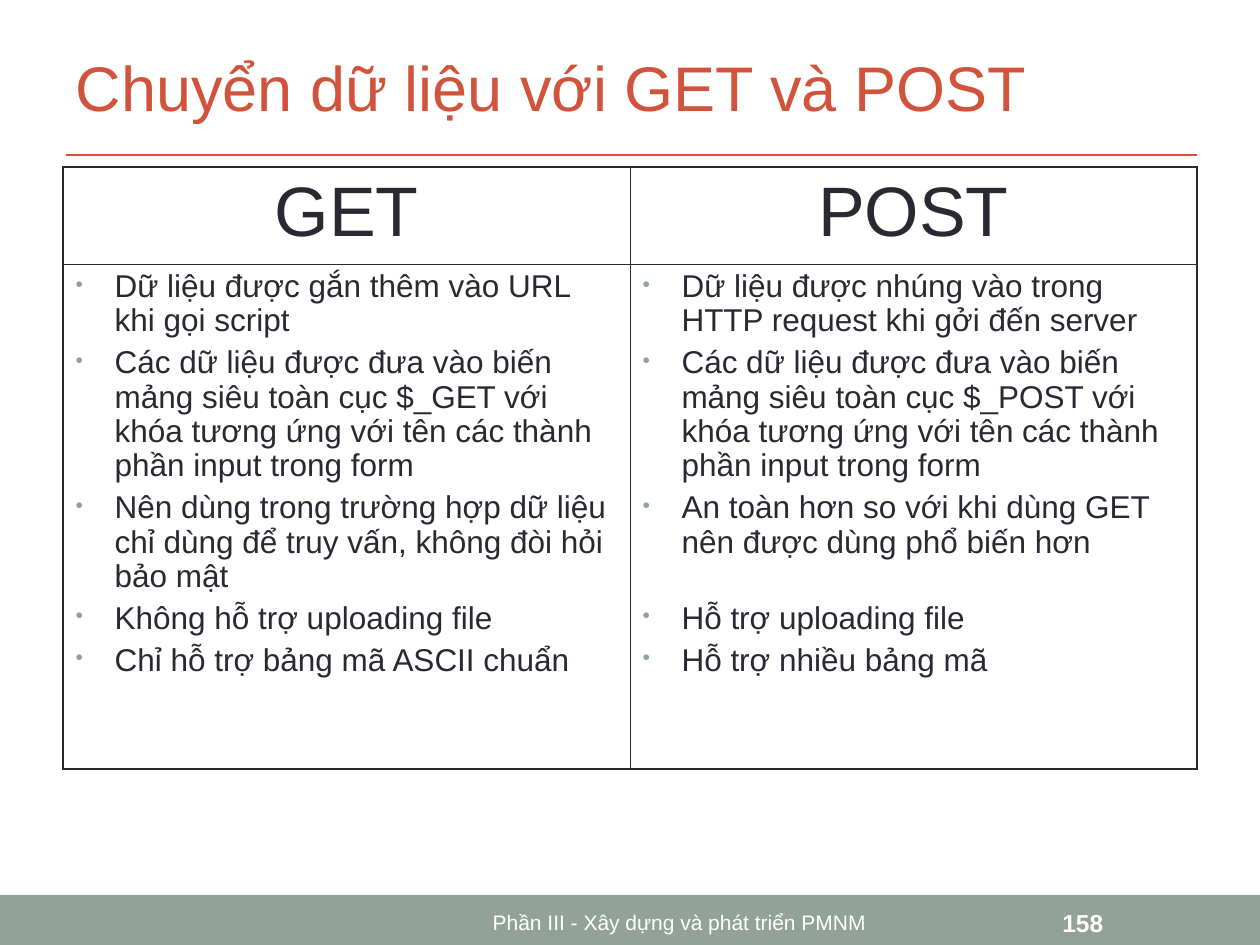
from lxml import etree
from pptx import Presentation
from pptx import util as u
from pptx.dml import color
from pptx.enum import shapes, text
from pptx.oxml import ns

PX = 914400 // 126
RED, SAGE, INK, WHITE = "D2533C", "93A299", "292934", "FFFFFF"
TITLE = "Chuyển dữ liệu với GET và POST"
COLS = [
    ("GET", [
        ("Dữ liệu được gắn thêm vào URL khi gọi script", 0),
        ("Các dữ liệu được đưa vào biến mảng siêu toàn cục $_GET với khóa "
         "tương ứng với tên các thành phần input trong form", 4.5),
        ("Nên dùng trong trường hợp dữ liệu chỉ dùng để truy vấn, "
         "không đòi hỏi bảo mật", 4.5),
        ("Không hỗ trợ uploading file", 4.5),
        ("Chỉ hỗ trợ bảng mã ASCII chuẩn", 4.5),
    ]),
    ("POST", [
        ("Dữ liệu được nhúng vào trong HTTP request khi gởi đến server", 0),
        ("Các dữ liệu được đưa vào biến mảng siêu toàn cục $_POST với khóa "
         "tương ứng với tên các thành phần input trong form", 4.5),
        ("An toàn hơn so với khi dùng GET nên được dùng phổ biến hơn", 4.5),
        ("Hỗ trợ uploading file", 24),
        ("Hỗ trợ nhiều bảng mã", 4.5),
    ]),
]
ROWS = [97, 505]
FOOT = [
    ("Phần III - Xây dựng và phát triển PMNM", (321, 900, 717, 45),
     12, False, text.PP_ALIGN.CENTER),
    ("158", (1050, 900, 147, 45), 14, True, text.PP_ALIGN.LEFT),
]


def px(*vals):
    return [u.Emu(v * PX) for v in vals]


def rgb(code):
    return color.RGBColor.from_string(code)


def style(para, size, code, align, bold=False):
    para.alignment = align
    font = para.font
    font.name, font.size, font.bold = "Arial", u.Pt(size), bold
    font.color.rgb = rgb(code)


def sub(node, tag, **attrs):
    return etree.SubElement(node, ns.qn("a:" + tag), **attrs)


def bullet(para):
    props = para._p.get_or_add_pPr()
    props.set("marL", str(39 * PX))
    props.set("indent", str(-39 * PX))
    sub(sub(props, "buClr"), "srgbClr", val=SAGE)
    sub(props, "buSzPct", val="70000")
    sub(props, "buChar", char="•")


def border(cell, row, col):
    props = cell._tc.get_or_add_tcPr()
    thick = {"lnL": col == 0, "lnR": col == 1, "lnT": row == 0, "lnB": row == 1}
    for side, outer in thick.items():
        line = sub(props, side, w=str(u.Pt(1.08 if outer else 0.45)))
        sub(sub(line, "solidFill"), "srgbClr", val=INK)
    cell.fill.background()


def main():
    deck = Presentation()
    deck.slide_width, deck.slide_height = px(1260, 945)
    slide = deck.slides.add_slide(deck.slide_layouts[5])
    items = slide.shapes

    band = items.add_shape(shapes.MSO_SHAPE.RECTANGLE, *px(0, 895, 1260, 50))
    band.shadow.inherit = False
    band.fill.solid()
    band.fill.fore_color.rgb = rgb(SAGE)
    band.line.fill.background()

    rule = items.add_connector(shapes.MSO_CONNECTOR.STRAIGHT, *px(66, 155, 1197, 155))
    rule.line.color.rgb = rgb(RED)
    rule.line.width = u.Pt(1.5)
    sub(rule._element.spPr, "effectLst")

    title = items.title
    title.left, title.top, title.width, title.height = px(63, 18, 1134, 136)
    frame = title.text_frame
    frame.text = TITLE
    frame.vertical_anchor = text.MSO_ANCHOR.MIDDLE
    style(frame.paragraphs[0], 36, RED, text.PP_ALIGN.LEFT)

    grid = items.add_table(2, 2, *px(63, 167, 1134, sum(ROWS))).table
    grid.first_row = grid.horz_banding = False
    for row, high in zip(grid.rows, px(*ROWS)):
        row.height = high
    for col, (head, points) in enumerate(COLS):
        for row in range(2):
            border(grid.cell(row, col), row, col)
        top = grid.cell(0, col).text_frame
        top.text = head
        style(top.paragraphs[0], 40, INK, text.PP_ALIGN.CENTER)
        body = grid.cell(1, col).text_frame
        body.text = "\n".join(words for words, gap in points)
        for para, (words, gap) in zip(body.paragraphs, points):
            bullet(para)
            para.line_spacing = 0.97
            para.space_before = u.Pt(gap)
            style(para, 18, INK, text.PP_ALIGN.LEFT)

    for words, box, size, bold, align in FOOT:
        frame = items.add_textbox(*px(*box)).text_frame
        frame.word_wrap = True
        frame.vertical_anchor = text.MSO_ANCHOR.MIDDLE
        frame.text = words
        style(frame.paragraphs[0], size, WHITE, align, bold)

    deck.save("out.pptx")


if __name__ == "__main__":
    main()
